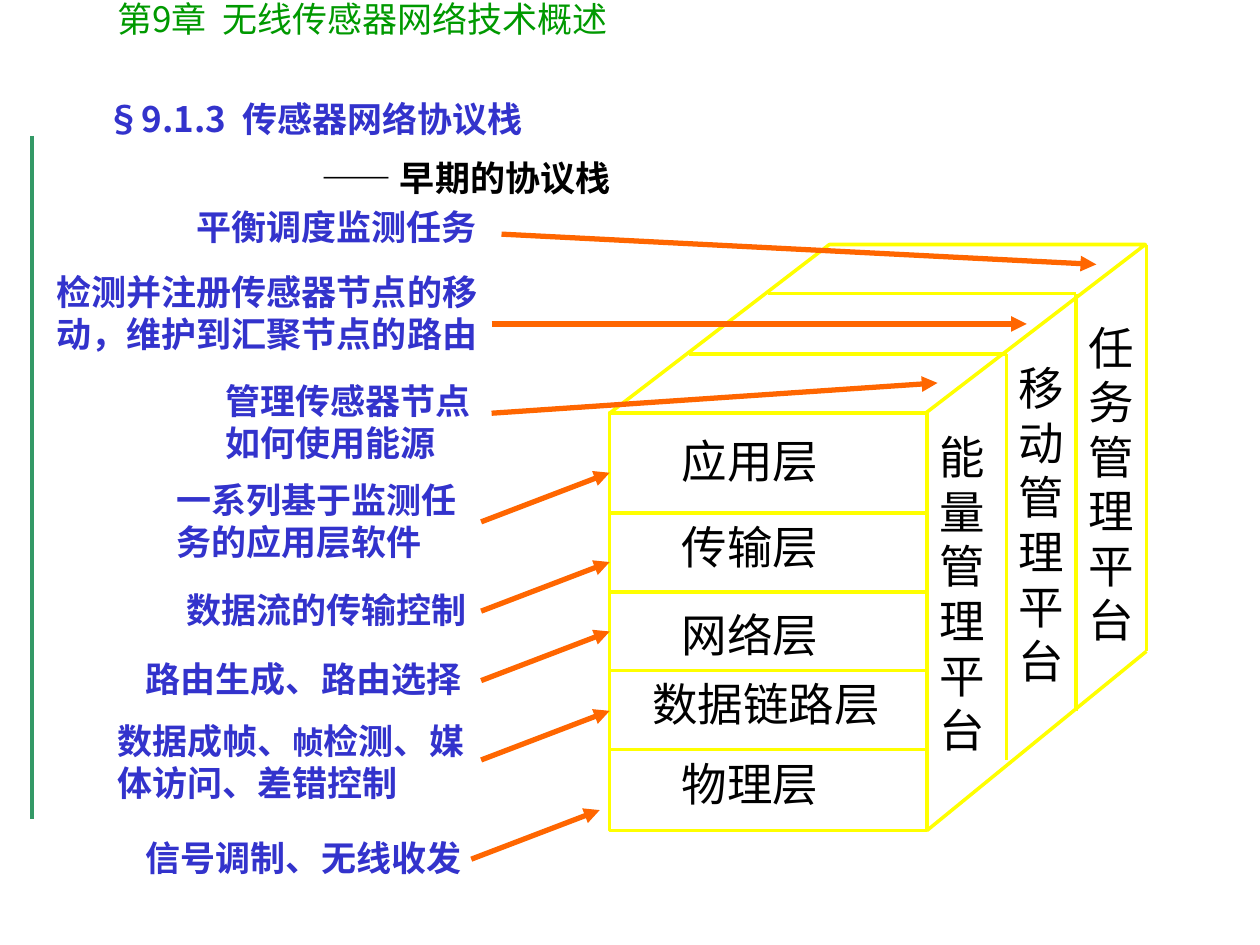
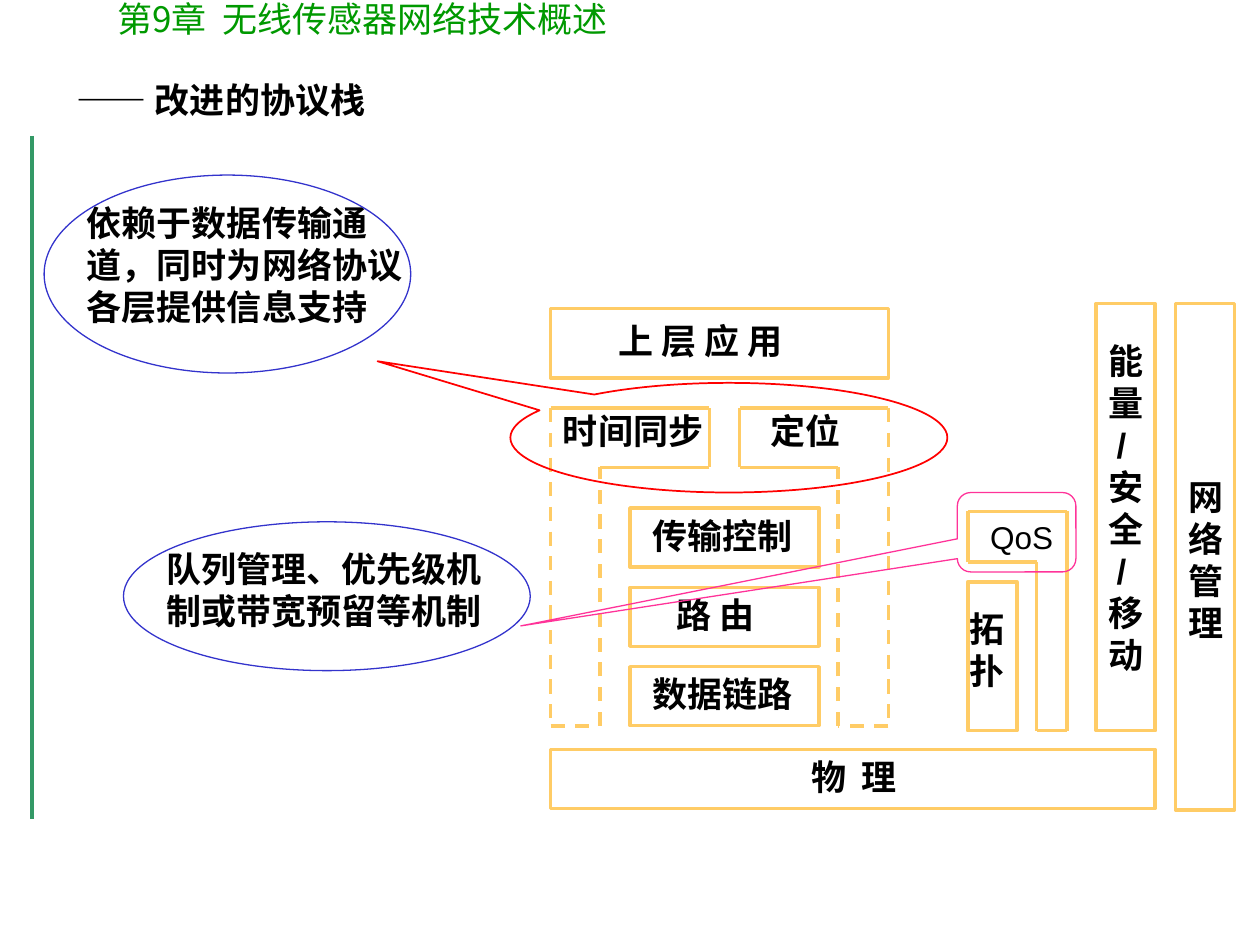
from pptx import Presentation
from pptx.dml.color import RGBColor
from pptx.enum.dml import MSO_LINE
from pptx.enum.shapes import MSO_CONNECTOR, MSO_SHAPE
from pptx.enum.text import MSO_ANCHOR, MSO_AUTO_SIZE
from pptx.oxml.ns import qn
from pptx.util import Cm, Pt
from lxml import etree

INK = {
    "black": "000000",
    "blue": "3333CC",
    "green": "009900",
    "bar": "339966",
    "yellow": "FFFF00",
    "orange": "FF6600",
    "amber": "FFCC66",
    "red": "FF0000",
    "pink": "FF3399",
}
BODY = "Arial"
HEAD = "Noto Sans CJK SC"


def tint(color):
    return RGBColor.from_string(INK[color])


def style(para, size, color, bold=False, face=BODY):
    """Set the font, and keep punctuation inside the text width."""
    font = para.font
    font.name, font.size, font.bold = face, Pt(size), bold
    font.color.rgb = tint(color)
    para._p.get_or_add_pPr().set("hangingPunct", "0")


def write(slide, text, box, size=20, color="black", bold=True, face=BODY):
    """Add a wrapped text box at (left, top, width, height) in cm; return its paragraph."""
    frame = slide.shapes.add_textbox(*map(Cm, box)).text_frame
    frame.word_wrap = True
    frame.auto_size = MSO_AUTO_SIZE.SHAPE_TO_FIT_TEXT
    para = frame.paragraphs[0]
    para.text = text
    style(para, size, color, bold, face)
    return para


def title(slide, box, lines, spacing=1.0):
    """Add a title; each line is (text, colour, indent in cm)."""
    frame = slide.shapes.add_textbox(*map(Cm, box)).text_frame
    frame.word_wrap = True
    frame.vertical_anchor = MSO_ANCHOR.MIDDLE
    for i, (text, color, indent) in enumerate(lines):
        para = frame.add_paragraph() if i else frame.paragraphs[0]
        para.text = text
        para.line_spacing = spacing
        para._p.get_or_add_pPr().set("marL", str(Cm(indent)))
        style(para, 20, color, True, HEAD)


def outline(slide, kind, box, color, width=2.0, adjust=()):
    """Add an unfilled preset shape."""
    shape = slide.shapes.add_shape(kind, *map(Cm, box))
    shape.shadow.inherit = False
    shape.fill.background()
    shape.line.color.rgb = tint(color)
    shape.line.width = Pt(width)
    for i, value in enumerate(adjust):
        shape.adjustments[i] = value


def trace(slide, points, color, width=2.0, dash=False, arrow=False):
    """Join the points, in cm, by straight lines."""
    for start, end in zip(points, points[1:]):
        link = slide.shapes.add_connector(
            MSO_CONNECTOR.STRAIGHT, *map(Cm, start + end))
        link.line.color.rgb = tint(color)
        link.line.width = Pt(width)
        if dash:
            link.line.dash_style = MSO_LINE.DASH
        if arrow:
            etree.SubElement(link.line._get_or_add_ln(), qn("a:tailEnd"), type="triangle")
        etree.SubElement(link._element.spPr, qn("a:effectLst"))


def page(deck):
    """Add a slide with the side bar and chapter heading."""
    slide = deck.slides.add_slide(deck.slide_layouts[6])
    trace(slide, [(0.64, 2.74), (0.64, 16.51)], "bar", 2.25)
    write(slide, "第9章  无线传感器网络技术概述", (2.11, -0.18, 14.6, 1.12),
          color="green", bold=False, face=HEAD)
    return slide


def cube(slide):
    """Draw the block of five layers and three management planes."""
    left, right, top, bottom = 12.29, 18.69, 8.33, 16.74
    outline(slide, MSO_SHAPE.RECTANGLE,
            (left, top, right - left, bottom - top), "yellow")
    outline(slide, MSO_SHAPE.PARALLELOGRAM, (left, 4.93, 10.8, 3.4),
            "yellow", adjust=[1.303])
    edges = [[(23.11, 4.93), (23.11, 13.13), (right, bottom)],
             [(15.49, 5.92), (21.69, 5.92), (21.69, 14.33)],
             [(13.89, 7.14), (20.29, 7.14), (20.29, 15.32)]]
    for i in range(4):
        y = 10.34 + 1.59 * i
        edges.append([(left, y), (right, y)])
    for edge in edges:
        trace(slide, edge, "yellow")

    layers = [("应用层", 13.49, 8.61, 3.6), ("传输层", 13.49, 10.34, 3.6),
              ("网络层", 13.49, 12.12, 3.6), ("数据链路层", 12.9, 13.51, 5.61),
              ("物理层", 13.49, 15.11, 3.6)]
    for text, x, y, width in layers:
        write(slide, text, (x, y, width, 1.37), 26, bold=False)
    planes = [("能量管理平台", 18.69, 8.53), ("移动管理平台", 20.29, 7.14),
              ("任务管理平台", 21.69, 6.32)]
    for text, x, y in planes:
        write(slide, text, (x, y, 1.6, 6.86), 26, bold=False)


def early(deck):
    slide = page(deck)
    title(slide, (1.9, 1.52, 22.86, 2.59),
          [("§9.1.3  传感器网络协议栈", "blue", 0),
           ("—— 早期的协议栈", "black", 4.34)], 1.4)
    cube(slide)

    one, two = 1.12, 1.96
    notes = [
        ("信号调制、无线收发", (2.69, 16.74, 7.8, one)),
        ("路由生成、路由选择", (2.69, 13.13, 7.01, one)),
        ("数据流的传输控制", (3.51, 11.73, 6.6, one)),
        ("一系列基于监测任务的应用层软件", (3.3, 9.53, 6.6, two)),
        ("管理传感器节点如何使用能源", (4.29, 7.52, 5.82, two)),
        ("检测并注册传感器节点的移动，维护到汇聚节点的路由", (0.89, 5.33, 9.19, two)),
        ("平衡调度监测任务", (3.71, 4.01, 6.6, one)),
    ]
    for text, box in notes:
        write(slide, text, box, color="blue")
    link = write(slide, "", (2.11, 14.38, 7.8, two), color="blue")
    for text, size in [("数据成帧、", 20), ("帧", 18), ("检测、媒体访问、差错控制", 20)]:
        run = link.add_run()
        run.text = text
        run.font.size = Pt(size)

    starts = [(9.5, 17.32)] + [(9.7, y) for y in (15.32, 13.72, 12.32, 10.52)]
    arrows = [[(x, y), (x + 2.59, y - 0.99)] for x, y in starts]
    arrows += [[(9.91, 8.33), (18.9, 7.72)], [(9.91, 6.53), (20.7, 6.53)],
               [(10.11, 4.72), (22.1, 5.33)]]
    for arrow in arrows:
        trace(slide, arrow, "orange", 3, arrow=True)


def stack(slide):
    """Draw the boxes of the improved stack and their labels."""
    boxes = [(11.1, 6.22, 6.81, 1.4), (19.51, 11.73, 0.99, 3.0),
             (22.1, 6.12, 1.19, 8.61), (23.7, 6.12, 1.19, 10.21),
             (11.1, 15.11, 12.19, 1.19)]
    boxes += [(12.7, 10.24 + 1.6 * i, 3.81, 1.19) for i in range(3)]
    for box in boxes:
        outline(slide, MSO_SHAPE.RECTANGLE, box, "amber")

    # Each service: outer edge, inner edge of its head, inner edge of its leg
    for outer, inner, leg in [(11.1, 14.3, 12.09), (17.91, 14.91, 16.89)]:
        trace(slide, [(outer, 8.23), (inner, 8.23), (inner, 9.42), (leg, 9.42)], "amber")
        trace(slide, [(outer, 8.23), (outer, 14.63), (leg, 14.63), (leg, 9.42)],
              "amber", dash=True)
    trace(slide, [(19.51, 10.31), (21.51, 10.31), (21.51, 14.73), (20.9, 14.73),
                  (20.9, 11.33), (19.51, 11.33), (19.51, 10.31)], "amber")

    labels = [
        ("上 层 应 用", (12.22, 6.32, 5.69, 1.12)),
        ("时间同步", (11.1, 8.13, 3.61, 1.12)),
        ("定位", (15.29, 8.13, 2.21, 1.12)),
        ("传输控制", (12.9, 10.24, 3.81, 1.12)),
        ("路 由", (13.39, 11.84, 3.32, 1.12)),
        ("数据链路", (12.9, 13.44, 3.81, 1.12)),
        ("物  理", (16.1, 15.11, 2.39, 1.12)),
        ("拓扑", (19.3, 12.12, 0.99, 1.96)),
        ("能量 /安全 /移动", (22.1, 6.71, 1.19, 7.04)),
        ("网络管理", (23.7, 9.47, 1.19, 3.66)),
    ]
    for text, box in labels:
        write(slide, text, box)
    write(slide, "QoS", (19.71, 10.31, 2.01, 1.02), 18, bold=False)


def better(deck):
    slide = page(deck)
    title(slide, (1.3, 0.91, 22.86, 2.21), [("—— 改进的协议栈", "black", 0)])
    stack(slide)

    outline(slide, MSO_SHAPE.OVAL_CALLOUT, (10.29, 7.72, 8.81, 2.21),
            "red", 1, [-0.804, -0.698])
    outline(slide, MSO_SHAPE.ROUNDED_RECTANGULAR_CALLOUT, (19.3, 9.93, 2.39, 1.6),
            "pink", 0.75, [-4.182, 1.18, 0.167])
    notes = [
        ("依赖于数据传输通道，同时为网络协议各层提供信息支持",
         (1.5, 3.94, 7.01, 2.79), (0.89, 3.53, 7.39, 3.99)),
        ("队列管理、优先级机制或带宽预留等机制",
         (3.1, 10.92, 7.19, 1.96), (2.49, 10.52, 8.2, 3.0)),
    ]
    for text, box, ring in notes:
        write(slide, text, box)
        outline(slide, MSO_SHAPE.OVAL, ring, "blue", 0.75)


def main():
    deck = Presentation()
    deck.slide_width, deck.slide_height = Cm(25.4), Cm(19.05)
    early(deck)
    better(deck)
    deck.save("out.pptx")


if __name__ == "__main__":
    main()
